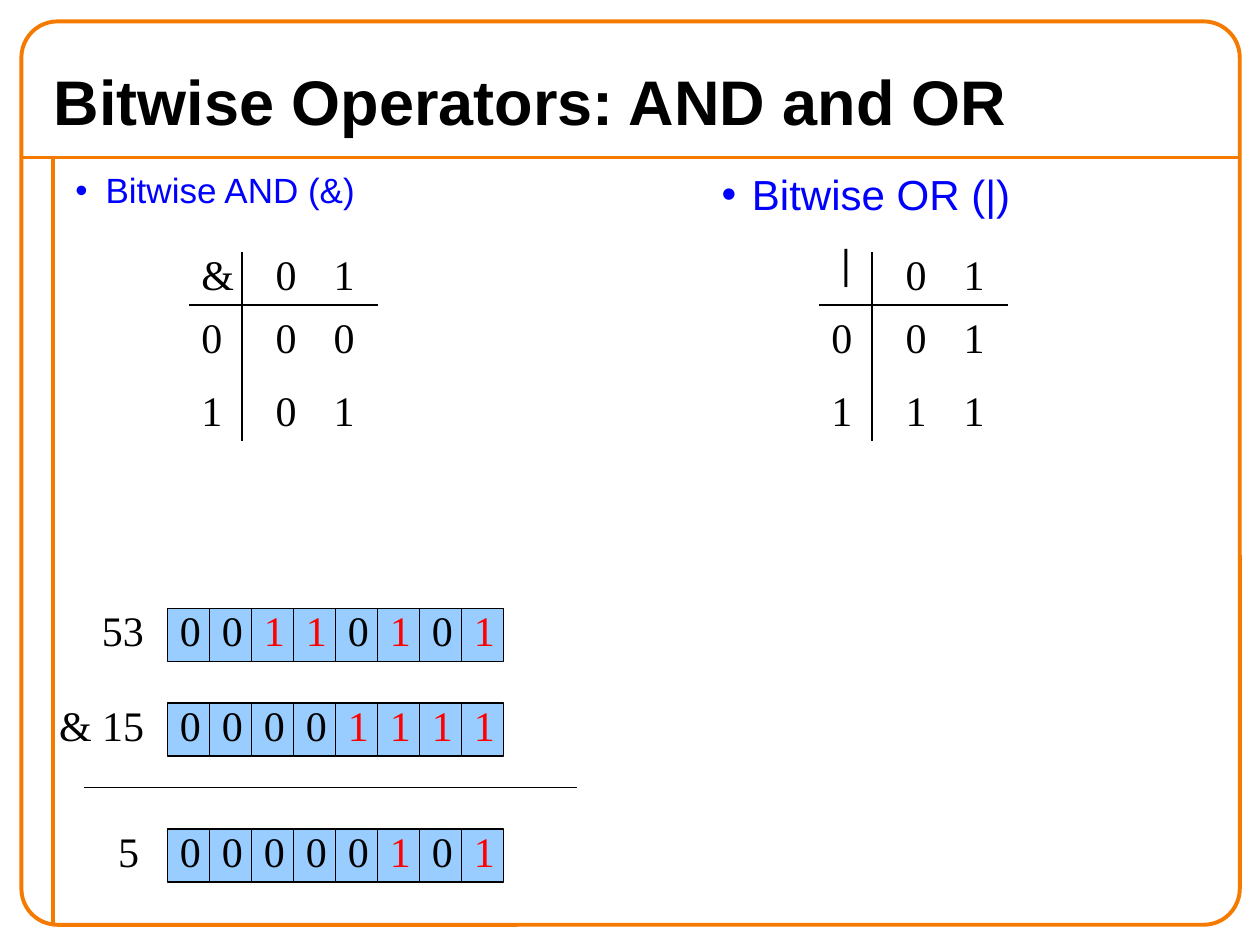
"""Build a slide on the bitwise AND and OR operators."""
import lxml.etree
import pptx
import pptx.dml.color
import pptx.enum.shapes
import pptx.enum.text
import pptx.oxml.ns
import pptx.util

Inches = pptx.util.Inches
Pt = pptx.util.Pt

ORANGE, BLACK, BLUE, RED, CELL_FILL = "F47A00", "000000", "0000FF", "FF0000", "99CCFF"
SANS, SERIF = "Arial", "Times New Roman"

TITLE = "Bitwise Operators: AND and OR"
FRAME_LINES = [(0.17, 1.25, 9.83, 1.25), (0.42, 1.25, 0.42, 7.33)]
BULLETS = [
    ("Bitwise AND (&)", (0.5, 1.33, 4.54, 3.17), 20, 10),
    ("Bitwise OR (|)", (5.63, 1.33, 4.54, 2.67), 24, 12),
]
TRUTH_TABLES = [
    {"left": 1.5, "symbol": "&", "symbol_box": (1.5, 1.92, 0.46, 0.5), "bold": False,
     "results": ["00", "01"]},
    {"left": 6.5, "symbol": "|", "symbol_box": (6.58, 1.83, 0.27, 0.5), "bold": True,
     "results": ["01", "11"]},
]
TABLE_COLUMNS = [0, 0.59, 1.05]
TABLE_ROWS = [1.92, 2.42, 3]
BYTES = [
    ("53", 0.71, 0.53, 4.75, "00110101"),
    ("& 15", 0.37, 0.95, 5.5, "00001111"),
    ("5", 0.84, 0.36, 6.5, "00000101"),
]
SUM_LINE = (0.67, 6.25, 4.58, 6.25)
BYTE_LEFT, BIT_WIDTH, BIT_HEIGHT = 1.33, 1 / 3, 0.42
DIGIT_WIDTH, DIGIT_HEIGHT = 0.36, 0.5


def rgb(color):
    return pptx.dml.color.RGBColor.from_string(color)


def add_line(shapes, ends, color=BLACK, width=0.75):
    line = shapes.add_connector(
        pptx.enum.shapes.MSO_CONNECTOR.STRAIGHT, *map(Inches, ends))
    line.line.color.rgb = rgb(color)
    line.line.width = Pt(width)
    lxml.etree.SubElement(line._element.spPr, pptx.oxml.ns.qn("a:effectLst"))


def add_box(shapes, kind, box, line_color, line_width, fill=None):
    shape = shapes.add_shape(kind, *map(Inches, box))
    shape.shadow.inherit = False
    shape.line.color.rgb = rgb(line_color)
    shape.line.width = Pt(line_width)
    if fill:
        shape.fill.solid()
        shape.fill.fore_color.rgb = rgb(fill)
    else:
        shape.fill.background()
    return shape


def add_text(shapes, text, box, size=24, font=SERIF, color=BLACK, bold=False, wrap=False):
    frame = shapes.add_textbox(*map(Inches, box)).text_frame
    frame.word_wrap = wrap
    run = frame.paragraphs[0].add_run()
    run.text = text
    run.font.size = Pt(size)
    run.font.name = font
    run.font.bold = bold
    run.font.color.rgb = rgb(color)
    return frame


def add_bullet(shapes, text, box, size, space_before):
    frame = add_text(shapes, text, box, size, SANS, BLUE, wrap=True)
    paragraph = frame.paragraphs[0]
    paragraph.line_spacing = 0.9
    paragraph.space_before = Pt(space_before)
    properties = paragraph._p.get_or_add_pPr()
    properties.set("marL", str(Inches(0.24)))
    properties.set("indent", str(Inches(-0.24)))
    for tag, attribute, value in [("a:buFont", "typeface", SANS), ("a:buChar", "char", "•")]:
        lxml.etree.SubElement(properties, pptx.oxml.ns.qn(tag)).set(attribute, value)


def add_truth_table(slide, table):
    shapes = slide.shapes.add_group_shape().shapes
    left = table["left"]
    add_line(shapes, (left + 0.42, 2, left + 0.42, 3.5))
    add_line(shapes, (left, 2.42, left + 1.5, 2.42))
    add_text(shapes, table["symbol"], table["symbol_box"], bold=table["bold"])
    rows = [" 01"] + [str(index) + result for index, result in enumerate(table["results"])]
    for top, digits in zip(TABLE_ROWS, rows):
        for offset, digit in zip(TABLE_COLUMNS, digits):
            if digit.strip():
                add_text(shapes, digit, (left + offset, top, DIGIT_WIDTH, DIGIT_HEIGHT))


def add_byte(shapes, label, label_left, label_width, top, bits):
    for index, bit in enumerate(bits):
        left = BYTE_LEFT + index * BIT_WIDTH
        add_box(shapes, pptx.enum.shapes.MSO_SHAPE.RECTANGLE,
                (left, top + 0.08, BIT_WIDTH, BIT_HEIGHT), BLACK, 0.75, CELL_FILL)
        add_text(shapes, bit, (left, top, DIGIT_WIDTH, DIGIT_HEIGHT),
                 color=RED if bit == "1" else BLACK)
    add_text(shapes, label, (label_left, top, label_width, DIGIT_HEIGHT))


def main():
    presentation = pptx.Presentation()
    presentation.slide_width = Inches(10)
    presentation.slide_height = Inches(7.5)
    slide = presentation.slides.add_slide(presentation.slide_layouts[6])
    shapes = slide.shapes

    for ends in FRAME_LINES:
        add_line(shapes, ends, ORANGE, 2.25)
    frame = add_box(shapes, pptx.enum.shapes.MSO_SHAPE.ROUNDED_RECTANGLE,
                    (0.17, 0.17, 9.67, 7.17), ORANGE, 2.25)
    frame.adjustments[0] = 0.04

    title = add_text(shapes, TITLE, (0.33, 0.42, 9.33, 0.75), 36, SANS, bold=True, wrap=True)
    title.vertical_anchor = pptx.enum.text.MSO_ANCHOR.MIDDLE
    for bullet in BULLETS:
        add_bullet(shapes, *bullet)
    for table in TRUTH_TABLES:
        add_truth_table(slide, table)
    for byte in BYTES:
        add_byte(shapes, *byte)
    add_line(shapes, SUM_LINE)

    presentation.save("out.pptx")


if __name__ == "__main__":
    main()
